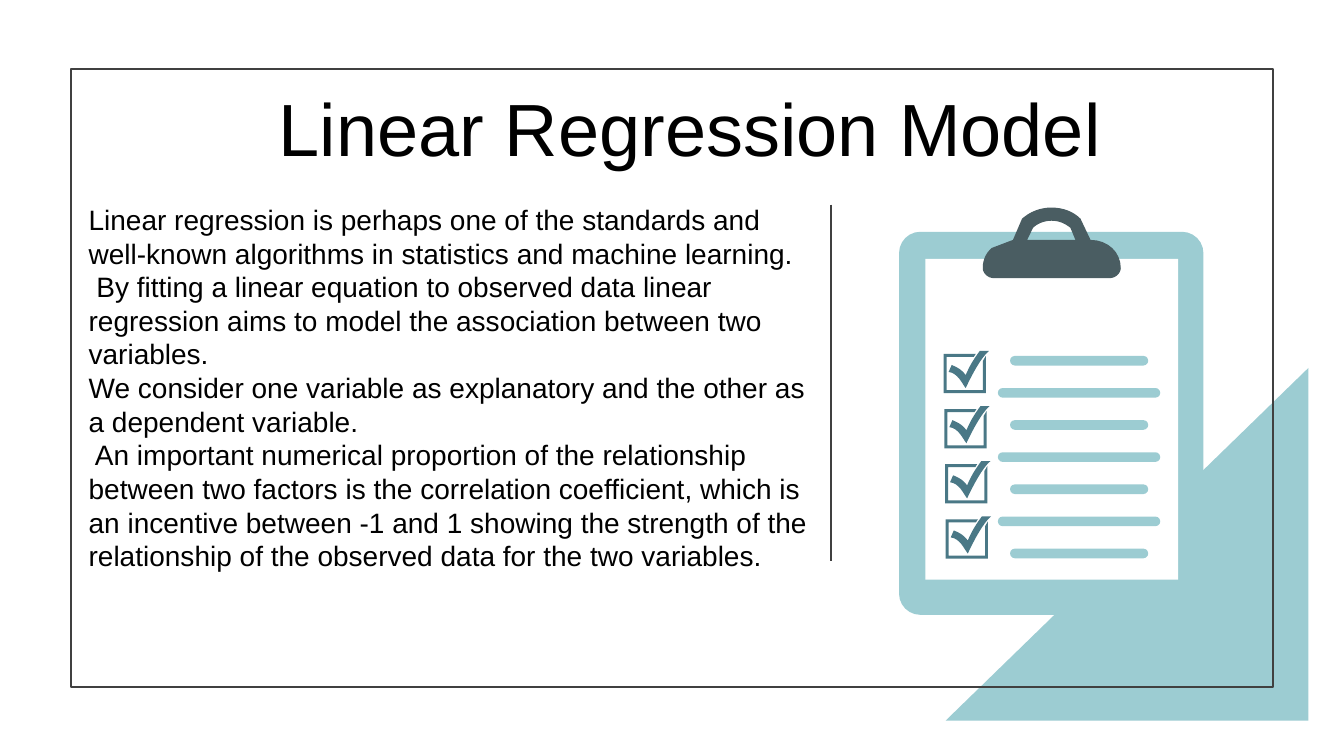
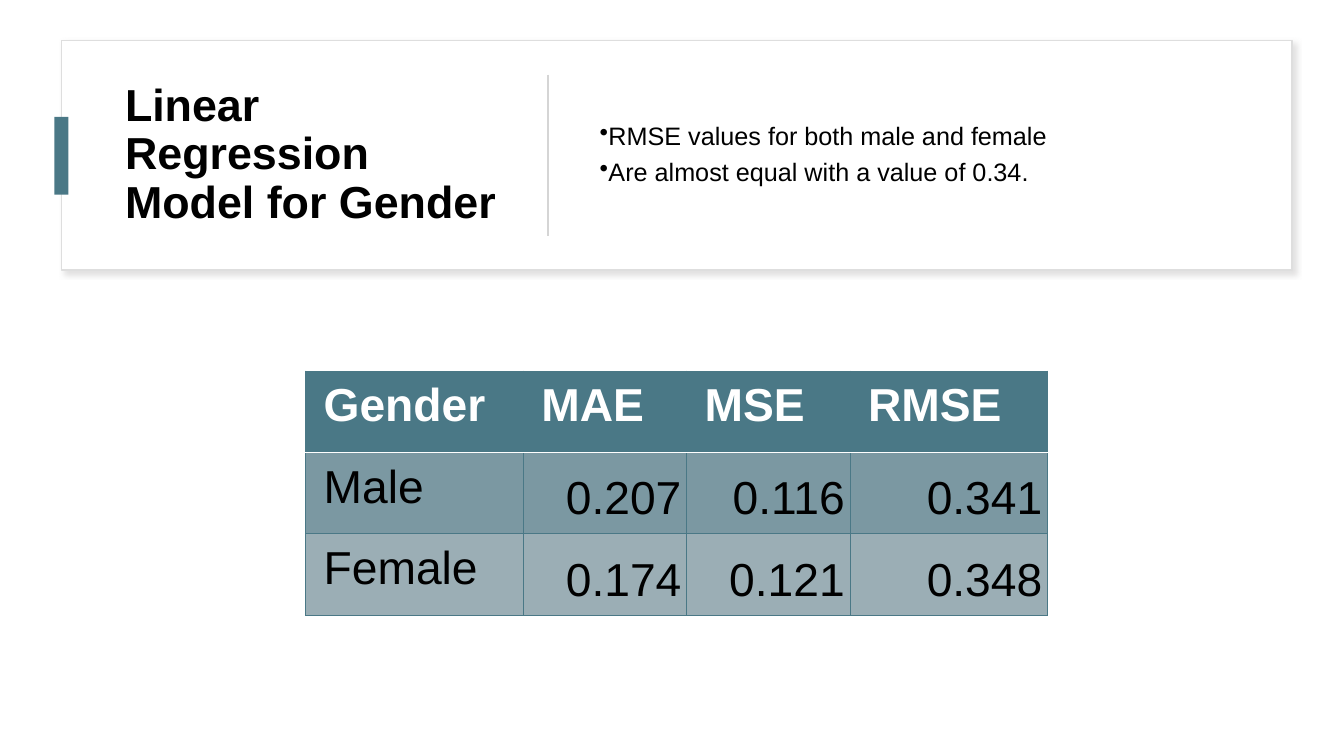
"""Build two slides on the linear regression model."""
from dataclasses import dataclass

from lxml.etree import SubElement
from pptx import Presentation
from pptx.dml.color import RGBColor as Rgb
from pptx.enum.shapes import MSO_CONNECTOR as Connector, MSO_SHAPE as Shape
from pptx.enum.text import MSO_ANCHOR as Anchor, MSO_AUTO_SIZE as AutoSize, PP_ALIGN as Align
from pptx.oxml import parse_xml
from pptx.oxml.ns import nsdecls, qn
from pptx.util import Pt


@dataclass(frozen=True)
class Theme:
    font: str = "Arial"
    ink: str = "000000"
    white: str = "FFFFFF"
    teal: str = "4A7886"
    light_teal: str = "9CCCD2"
    slate: str = "4A5D62"
    frame: str = "404040"
    card_edge: str = "DEDEDE"
    divider: str = "D5D5D5"
    male_row: str = "7B98A2"
    female_row: str = "9BAEB5"
    title_size: float = 52.8
    card_title_size: float = 32
    table_size: float = 33
    body_size: float = 20
    bullet_size: float = 18


THEME = Theme()


def write(frame, *paragraphs, size, color=THEME.ink, bold=False, align=Align.LEFT,
          anchor=Anchor.TOP, spacing=1.0, after=0, bullet=None):
    frame.word_wrap = True
    frame.vertical_anchor = anchor
    for index, text in enumerate(paragraphs):
        paragraph = frame.paragraphs[0] if index == 0 else frame.add_paragraph()
        if bullet:
            properties = paragraph._p.get_or_add_pPr()
            properties.set("marL", "0")
            properties.set("indent", "0")
            SubElement(properties, qn("a:buChar")).set("char", bullet)
        paragraph.alignment = align
        paragraph.line_spacing = spacing
        paragraph.space_before = Pt(0)
        paragraph.space_after = Pt(after)
        run = paragraph.add_run()
        run.text = text
        run.font.name = THEME.font
        run.font.size = Pt(size)
        run.font.bold = bold
        run.font.color.rgb = Rgb.from_string(color)


def paint(shape, fill=None, line=None, width=1.0):
    shape.shadow.inherit = False
    if fill:
        shape.fill.solid()
        shape.fill.fore_color.rgb = Rgb.from_string(fill)
    else:
        shape.fill.background()
    if line:
        shape.line.color.rgb = Rgb.from_string(line)
        shape.line.width = Pt(width)
    else:
        shape.line.fill.background()


deck = Presentation()
deck.slide_width, deck.slide_height = Pt(960), Pt(540)
title_only = deck.slide_layouts[5]
model_slide = deck.slides.add_slide(title_only)
gender_slide = deck.slides.add_slide(title_only)

corner = model_slide.shapes.add_shape(Shape.RIGHT_TRIANGLE, Pt(679), Pt(259.2), Pt(252), Pt(259.2))
corner.rotation = 270
paint(corner, THEME.light_teal)
border = model_slide.shapes.add_shape(Shape.RECTANGLE, Pt(50.6), Pt(49.2), Pt(859), Pt(441.4))
paint(border, line=THEME.frame, width=1.5)

board = model_slide.shapes.add_shape(Shape.ROUNDED_RECTANGLE, Pt(642.2), Pt(165.6), Pt(217.4), Pt(273.6))
board.adjustments[0] = 0.07
paint(board, THEME.light_teal)
paper = model_slide.shapes.add_shape(Shape.RECTANGLE, Pt(661), Pt(185), Pt(180.5), Pt(229))
paint(paper, THEME.white)

for row in range(7):
    left, width = (712.8, 116) if row % 2 else (721.5, 98.7)
    entry = model_slide.shapes.add_shape(
        Shape.ROUNDED_RECTANGLE, Pt(left), Pt(254.2 + 22.95 * row), Pt(width), Pt(6.9))
    entry.adjustments[0] = 0.5
    paint(entry, THEME.light_teal)

# Each step holds either one corner or the three control points of a curve.
clip = [
    [[(751, 148.3)], [(759.6, 148.3), (766.8, 151.2), (771.8, 156.2)], [(779, 171.4)],
     [(791.3, 171.4), (800.6, 180), (800.6, 191.5)], [(800.6, 195.1), (797, 198.7), (792.7, 198.7)],
     [(709.9, 198.7)], [(705.6, 198.7), (702, 195.1), (702, 191.5)],
     [(702, 185.8), (704.2, 180.7), (708.5, 177.1)], [(723.6, 171.4)], [(730.1, 156.2)],
     [(735.8, 151.2), (743, 148.3), (751, 148.3)]],
    [[(751, 157.7)], [(746, 157.7), (740.9, 159.8), (738, 162.7)], [(733.7, 171.4)],
     [(768.2, 171.4)], [(764.6, 162.7)], [(761, 159.8), (756.7, 157.7), (751, 157.7)]],
]
check = [
    [[(0, 2.2)], [(23, 2.2)], [(21.6, 4.3)], [(2.2, 4.3)], [(2.2, 28.1)], [(28.1, 28.1)],
     [(28.1, 7.2)], [(30.2, 3.6)], [(30.2, 30.2)], [(0, 30.2)]],
    [[(32.4, 0)], [(26.6, 5), (20.2, 17.3), (15.8, 26.6)], [(13, 23), (10.1, 15.8), (3.6, 15.1)],
     [(5.8, 10.1)], [(10.8, 12.2), (13, 13.7), (15.8, 17.3)], [(18.7, 10.8), (20.2, 7.9), (25.9, 0)]],
]
drawings = [(clip, THEME.slate, 0, 0)]
drawings += [(check, THEME.teal, 674 + 0.5 * row, 250.6 + 39.4 * row) for row in range(4)]
for contours, color, left, top in drawings:
    builder = None
    for contour in contours:
        points = []
        for step in contour:
            if len(step) == 1:
                points += step
                continue
            curve = [points[-1], *step]
            for part in range(1, 9):
                t = part / 8
                weights = ((1 - t) ** 3, 3 * t * (1 - t) ** 2, 3 * t * t * (1 - t), t ** 3)
                points.append(tuple(sum(w * p[axis] for w, p in zip(weights, curve)) for axis in (0, 1)))
        placed = [(Pt(left + x), Pt(top + y)) for x, y in points]
        if builder is None:
            builder = model_slide.shapes.build_freeform(*placed[0])
        else:
            builder.move_to(*placed[0])
        builder.add_line_segments(placed[1:], close=True)
    paint(builder.convert_to_shape(), color)

explanation = model_slide.shapes.add_textbox(Pt(56.2), Pt(141.1), Pt(530), Pt(273.6))
write(
    explanation.text_frame,
    "Linear regression is perhaps one of the standards and well-known algorithms in statistics "
    "and machine learning.",
    " By fitting a linear equation to observed data linear regression aims to model the "
    "association between two variables.",
    "We consider one variable as explanatory and the other as a dependent variable.",
    " An important numerical proportion of the relationship between two factors is the correlation "
    "coefficient, which is an incentive between -1 and 1 showing the strength of the relationship "
    "of the observed data for the two variables.",
    size=THEME.body_size)

card = gender_slide.shapes.add_shape(Shape.RECTANGLE, Pt(43.9), Pt(28.8), Pt(879.1), Pt(164.2))
paint(card, THEME.white, THEME.card_edge)
effects = card._element.spPr.find(qn("a:effectLst"))
effects.append(parse_xml(
    f'<a:outerShdw {nsdecls("a")} blurRad="{Pt(4)}" dist="{Pt(3)}" dir="2700000" algn="tl" '
    'rotWithShape="0"><a:srgbClr val="C5C3C3"><a:alpha val="50000"/></a:srgbClr></a:outerShdw>'))
accent = gender_slide.shapes.add_shape(Shape.RECTANGLE, Pt(38.9), Pt(83.5), Pt(10), Pt(55.5))
paint(accent, THEME.teal)

findings = gender_slide.shapes.add_textbox(Pt(421.2), Pt(46.1), Pt(472.3), Pt(129.6))
write(findings.text_frame, "RMSE values for both male and female",
      "Are almost equal with a value of 0.34.", size=THEME.bullet_size,
      anchor=Anchor.MIDDLE, spacing=0.9, after=6, bullet="•")

for slide, x, top, bottom, color in (
        (model_slide, 593.3, 146.2, 401, THEME.frame),
        (gender_slide, 391.7, 53.3, 168.5, THEME.divider)):
    divider = slide.shapes.add_connector(Connector.STRAIGHT, Pt(x), Pt(top), Pt(x), Pt(bottom))
    divider.line.color.rgb = Rgb.from_string(color)
    divider.line.width = Pt(1.5)
    SubElement(divider._element.spPr, qn("a:effectLst"))

for slide, text, box, size, bold, align, spacing in (
        (model_slide, "Linear Regression Model", (93.4, 70.6, 700, 56.2),
         THEME.title_size, False, Align.RIGHT, 0.7),
        (gender_slide, "Linear Regression Model for Gender", (82.1, 46.1, 280, 129.6),
         THEME.card_title_size, True, Align.LEFT, 0.9)):
    title = slide.shapes.title
    title.left, title.top, title.width, title.height = map(Pt, box)
    title.text_frame.auto_size = AutoSize.NONE
    write(title.text_frame, text, size=size, bold=bold, align=align,
          anchor=Anchor.MIDDLE, spacing=spacing, after=6)
    title._element.getparent().append(title._element)

scores = [
    ("Gender", "MAE", "MSE", "RMSE"),
    ("Male", "0.207", "0.116", "0.341"),
    ("Female", "0.174", "0.121", "0.348"),
]
row_fills = (THEME.teal, THEME.male_row, THEME.female_row)
column_widths = (155.5, 116.7, 116.7, 141.1)
score_table = gender_slide.shapes.add_table(
    3, 4, Pt(218.2), Pt(265), Pt(sum(column_widths)), Pt(174.3)).table
score_table.horz_banding = False
for column, width in zip(score_table.columns, column_widths):
    column.width = Pt(width)
for row, values in enumerate(scores):
    score_table.rows[row].height = Pt(58.1)
    for column, value in enumerate(values):
        cell = score_table.cell(row, column)
        is_number = row > 0 and column > 0
        cell.margin_left = cell.margin_right = Pt(3.6 if is_number else 13)
        cell.margin_top = cell.margin_bottom = Pt(6.5)
        write(cell.text_frame, value, size=THEME.table_size, bold=row == 0,
              color=THEME.ink if row else THEME.white,
              align=Align.RIGHT if is_number else Align.LEFT)
        cell.vertical_anchor = Anchor.BOTTOM if is_number else Anchor.TOP
        for side in ("L", "R", "T", "B"):
            under_header = (row, side) in ((0, "B"), (1, "T"))
            color, width = (THEME.white, 1) if under_header else (THEME.teal, 0.5)
            cell._tc.get_or_add_tcPr().append(parse_xml(
                f'<a:ln{side} {nsdecls("a")} w="{Pt(width)}"><a:solidFill>'
                f'<a:srgbClr val="{color}"/></a:solidFill></a:ln{side}>'))
        cell.fill.solid()
        cell.fill.fore_color.rgb = Rgb.from_string(row_fills[row])

deck.save("out.pptx")
